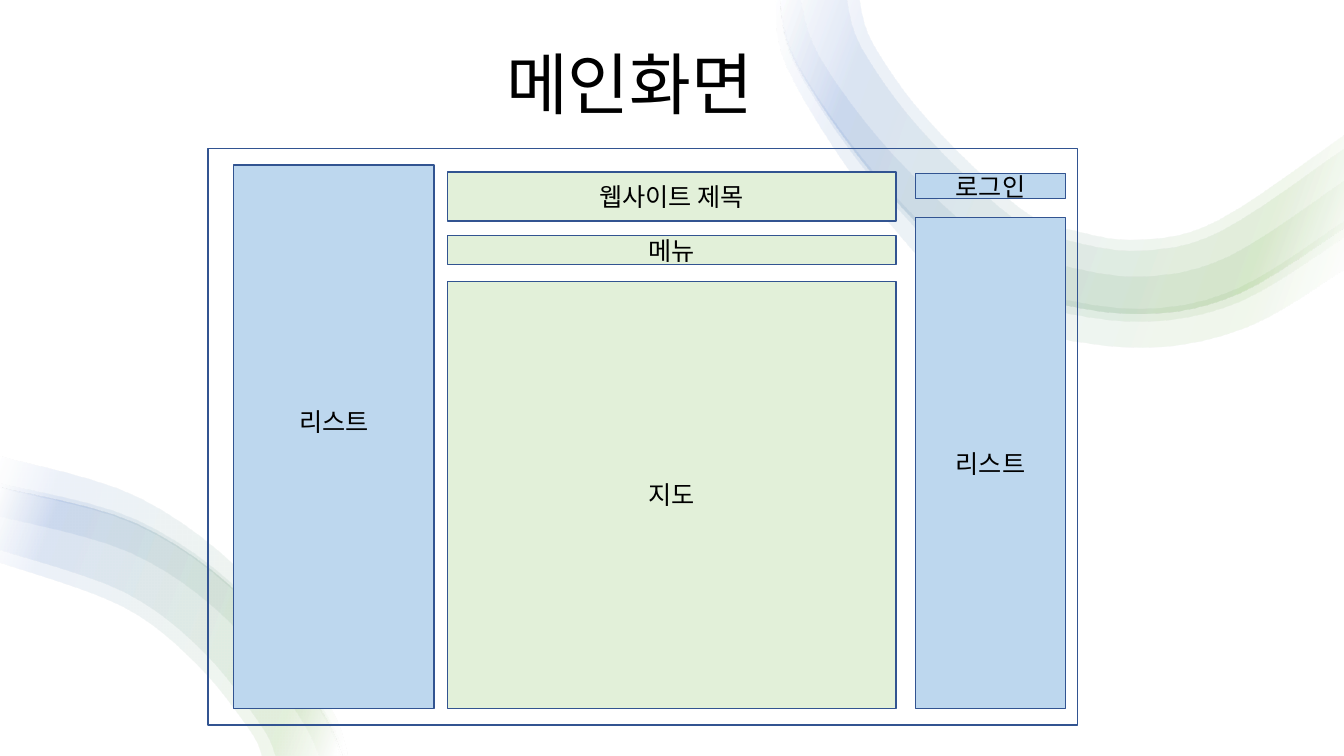
"""Build the main screen wireframe slide with flowing ribbons behind it."""
from lxml.etree import SubElement
from pptx import Presentation
from pptx.dml.color import RGBColor
from pptx.enum.shapes import MSO_SHAPE as Preset
from pptx.enum.text import MSO_ANCHOR as Anchor, MSO_AUTO_SIZE as AutoSize, PP_ALIGN as Align
from pptx.oxml.ns import qn
from pptx.util import Pt

COLORS = {"white": "FFFFFF", "black": "000000", "green": "70AD47", "blue": "4472C4",
          "outline": "325491", "side": "BDD7EE", "center": "E2F0D9"}
FONT = "Noto Sans CJK KR"
STOPS = [(2, "white"), (16, "green"), (85, "blue"), (100, "white")]
OPACITY = 10
STEPS = 6
RAMP = 4

upper_outer = [(554, 0), (562, 48), (614, 132), (682, 210), (729, 235), (816, 248),
               (891, 233), (960, 192)]
upper_inner = [(614, 0), (624, 32), (663, 86), (729, 149), (769, 165), (815, 171),
               (870, 157), (960, 96)]
lower_outer = [(0, 326), (100, 356), (182, 419), (235, 504), (248, 540)]
lower_inner = [(0, 402), (87, 433), (140, 474), (178, 521), (187, 540)]
upper_bands = [((0, 0), (0.05, 0.36)), ((0.05, 0.24), (0.3, 0.66)),
               ((0.05, 0.31), (0.85, 0.9)), ((0.05, 0.31), (1, 1))]
lower_bands = [((0, 0), (0.3, 0.08)), ((0.29, 0.05), (1, 1)),
               ((0.26, 0.03), (0.57, 0.33)), ((0.29, 0.05), (0.88, 0.84))]
RIBBONS = [(upper_outer, upper_inner, upper_bands), (lower_outer, lower_inner, lower_bands)]

SIDE_TOP, BOTTOM = 118, 506
CENTER_LEFT, CENTER_WIDTH = 319.5, 320.5
RIGHT_LEFT, RIGHT_WIDTH = 654, 107
PANELS = [
    ("", 148.5, 106, 621, 412, None),
    ("리스트", 167, SIDE_TOP, 143, BOTTOM - SIDE_TOP, "side"),
    ("웹사이트 제목", CENTER_LEFT, 123, CENTER_WIDTH, 35, "center"),
    ("메뉴", CENTER_LEFT, 168, CENTER_WIDTH, 21, "center"),
    ("지도", CENTER_LEFT, 201, CENTER_WIDTH, BOTTOM - 201, "center"),
    ("로그인", RIGHT_LEFT, 124, RIGHT_WIDTH, 18, "side"),
    ("리스트", RIGHT_LEFT, 155.5, RIGHT_WIDTH, BOTTOM - 155.5, "side"),
]


def blended_curve(outer, inner, start, end):
    """Return a smooth curve, in EMU, lying between two ribbon edges."""
    points = []
    for index, (first, second) in enumerate(zip(outer, inner)):
        share = start + (end - start) * min(1, index / RAMP)
        points.append([a + (b - a) * share for a, b in zip(first, second)])
    padded = [points[0], *points, points[-1]]
    curve = []
    for a, b, c, d in zip(padded, padded[1:], padded[2:], padded[3:]):
        for step in range(STEPS):
            t = step / STEPS
            curve.append([
                Pt(q + t * (r - p) / 2 + t**2 * (2 * p - 5 * q + 4 * r - s) / 2
                   + t**3 * (3 * q - p - 3 * r + s) / 2)
                for p, q, r, s in zip(a, b, c, d)])
    return curve + [[Pt(value) for value in points[-1]]]


def add_text(paragraph, text, size):
    """Add one black run in the slide's font."""
    run = paragraph.add_run()
    run.text = text
    run.font.size = Pt(size)
    run.font.name = FONT
    run.font.color.rgb = RGBColor.from_string(COLORS["black"])
    SubElement(run.font._element, qn("a:ea"), typeface=FONT)


presentation = Presentation()
presentation.slide_width, presentation.slide_height = Pt(960), Pt(540)
slide = presentation.slides.add_slide(presentation.slide_layouts[6])
shapes = slide.shapes
slide.background.fill.solid()
slide.background.fill.fore_color.rgb = RGBColor.from_string(COLORS["white"])

for outer, inner, bands in RIBBONS:
    for near, far in bands:
        outline = (blended_curve(outer, inner, *near)
                   + blended_curve(outer, inner, *far)[::-1])
        builder = shapes.build_freeform(*outline[0], scale=1.0)
        builder.add_line_segments(outline[1:], close=True)
        ribbon = builder.convert_to_shape()
        ribbon.shadow.inherit = False
        ribbon.line.fill.background()
        ribbon.fill.gradient()
        ribbon.fill.gradient_angle = 160
        stop_list = ribbon._element.spPr.find(".//" + qn("a:gsLst"))
        stop_list.clear()
        for position, color in STOPS:
            stop = SubElement(stop_list, qn("a:gs"), pos=str(position * 1000))
            tint = SubElement(stop, qn("a:srgbClr"), val=COLORS[color])
            SubElement(tint, qn("a:alpha"), val=str(OPACITY * 1000))

for text, left, top, width, height, fill in PANELS:
    panel = shapes.add_shape(Preset.RECTANGLE, Pt(left), Pt(top), Pt(width), Pt(height))
    panel.shadow.inherit = False
    panel.line.color.rgb = RGBColor.from_string(COLORS["outline"])
    panel.line.width = Pt(1)
    if fill:
        panel.fill.solid()
        panel.fill.fore_color.rgb = RGBColor.from_string(COLORS[fill])
    else:
        panel.fill.background()
    if text:
        panel.text_frame.vertical_anchor = Anchor.MIDDLE
        paragraph = panel.text_frame.paragraphs[0]
        paragraph.alignment = Align.CENTER
        add_text(paragraph, text, 18)
        if left < CENTER_LEFT:
            paragraph.add_line_break()

title = shapes.add_textbox(Pt(354.5), Pt(27), Pt(208), Pt(65.5))
title.text_frame.word_wrap = False
title.text_frame.auto_size = AutoSize.SHAPE_TO_FIT_TEXT
add_text(title.text_frame.paragraphs[0], "메인화면", 48)

presentation.save("out.pptx")
